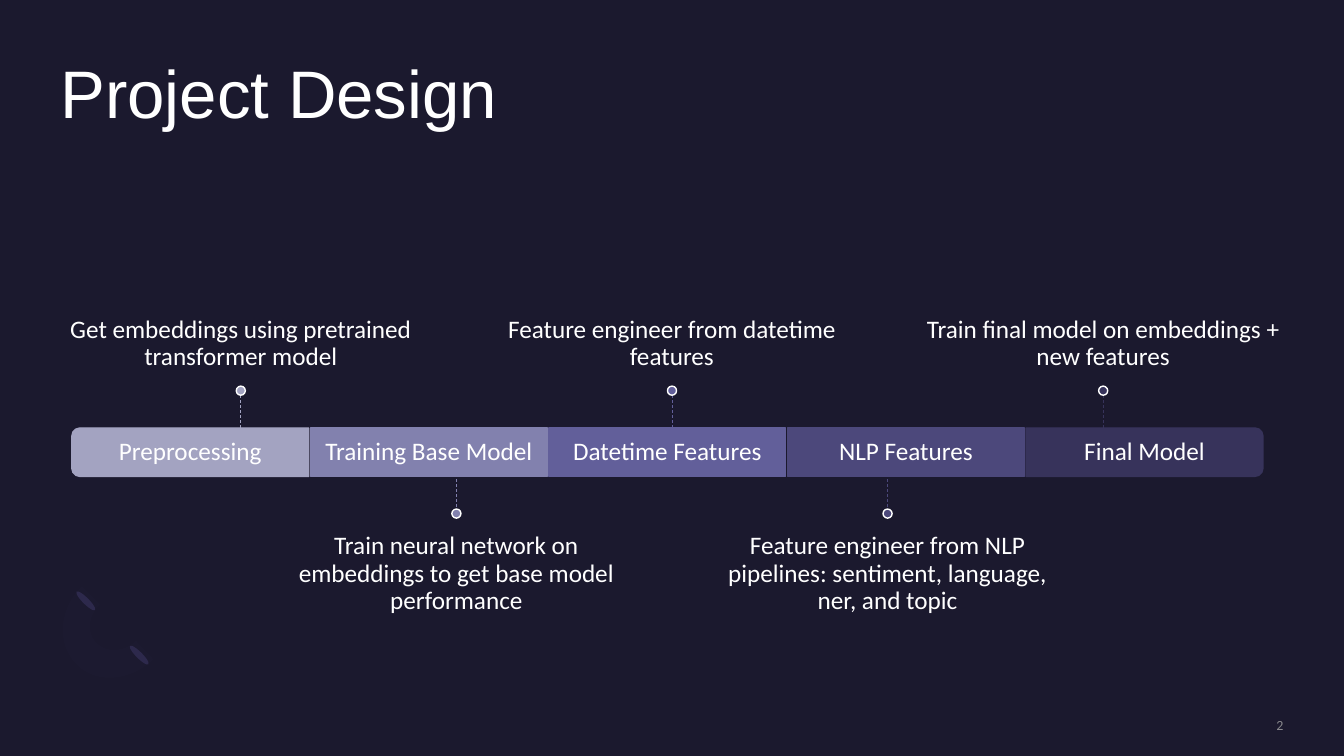
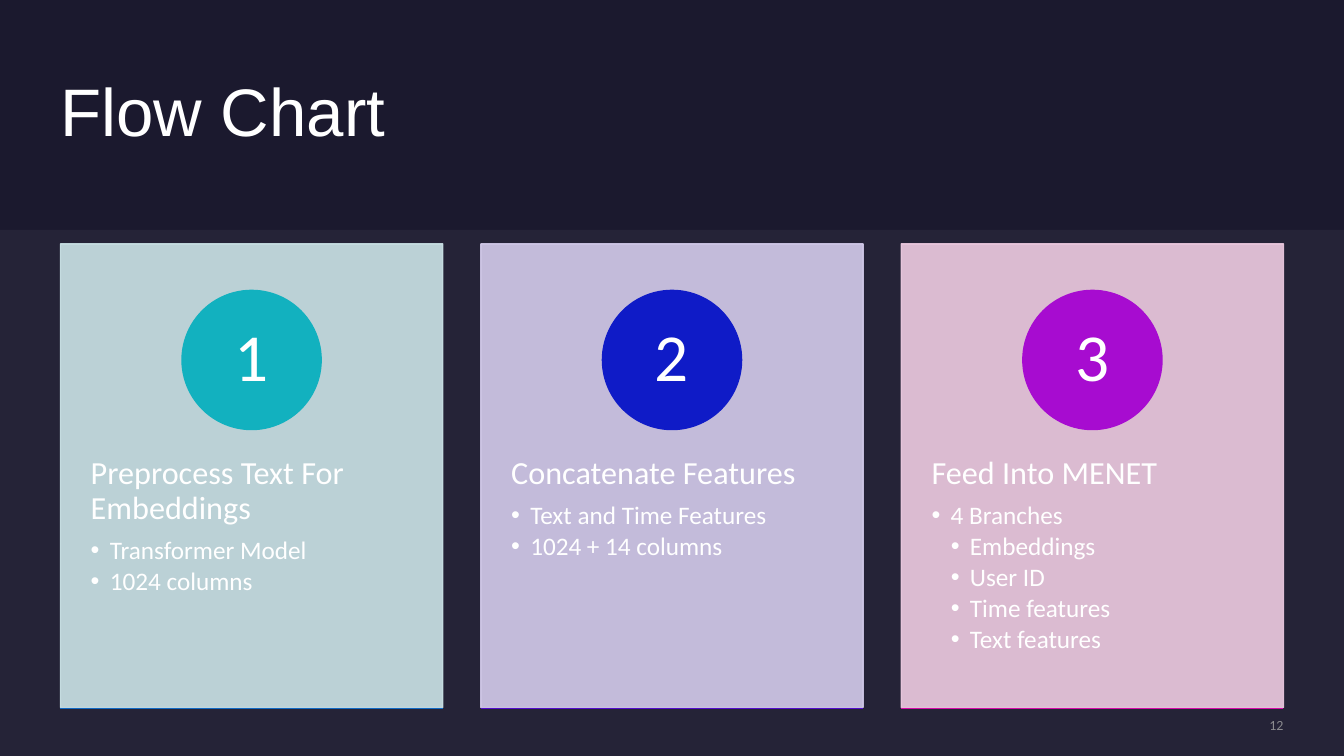
from dataclasses import dataclass

from lxml.etree import SubElement
from pptx import Presentation
from pptx.dml.color import RGBColor
from pptx.enum.dml import MSO_LINE
from pptx.enum.shapes import MSO_CONNECTOR, MSO_SHAPE
from pptx.enum.text import MSO_ANCHOR, MSO_AUTO_SIZE, PP_ALIGN
from pptx.oxml.ns import qn
from pptx.util import Pt

BACKGROUND = "1B192E"
WHITE = "FFFFFF"
GRAY = "A6A6A6"
ACCENT = "2C284A"
ARC = "7771B2"
PANEL = "E4E3F0"
TITLE_FONT = "Arial"
BODY_FONT = "Calibri"

SLIDE_WIDTH, SLIDE_HEIGHT = 960, 540
MARGIN = 43.2
CONTENT_WIDTH = SLIDE_WIDTH - 2 * MARGIN

BAR_LEFT, BAR_TOP, BAR_PITCH = 51.3, 305.7, 170.4
BAR_WIDTH, BAR_HEIGHT = 169.2, 34.6
CALLOUT_LEFT, CALLOUT_PITCH = 172, 154
CALLOUT_WIDTH, CALLOUT_HEIGHT = 257, 109.4
DOT = 6.5

CARD_TOP, CARD_WIDTH, CARD_HEIGHT = 174.2, 273, 331.2
CIRCLE_TOP, CIRCLE = 207.4, 99.4
BULLET_INDENT = 13.7


@dataclass(frozen=True)
class Stage:
    name: str
    detail: str
    color: str
    rotation: int = 0


@dataclass(frozen=True)
class Card:
    heading: str
    bullets: tuple[tuple[int, str], ...]
    fill: str
    circle: str
    rule: str


STAGES = (
    Stage("Preprocessing", "Get embeddings using pretrained transformer model", "A3A3C1", 270),
    Stage("Training Base Model",
          "Train neural network on embeddings to get base model performance", "8281AE"),
    Stage("Datetime Features", "Feature engineer from datetime features", "625F9A"),
    Stage("NLP Features",
          "Feature engineer from NLP pipelines: sentiment, language, ner, and topic", "4C487B"),
    Stage("Final Model", "Train final model on embeddings + new features", "37335B", 90),
)

CARDS = (
    Card("Preprocess Text For Embeddings",
         ((1, "Transformer Model"), (1, "1024 columns")),
         "CCE4E8", "12B1BF", "1068C3"),
    Card("Concatenate Features",
         ((1, "Text and Time Features"), (1, "1024 + 14 columns")),
         "D5CCEC", "0F1BC7", "520DCB"),
    Card("Feed Into MENET",
         ((1, "4 Branches"), (2, "Embeddings"), (2, "User ID"),
          (2, "Time features"), (2, "Text features")),
         "EFCCE2", "A70CD0", "D40AA8"),
)

ARC_START = (54.7, 474.5)
# Each segment is a cubic curve (three points) or a straight edge (one point).
ARC_SEGMENTS = (
    ((40.3, 460.1), (41.8, 435.6), (58.3, 419)),
    ((71.3, 432),),
    ((62.6, 439.9), (61.9, 452.9), (69.1, 459.4)),
    ((76.3, 466.6), (88.6, 465.8), (97.2, 457.9)),
    ((109.4, 470.9),),
    ((93.6, 486.7), (68.4, 488.9), ARC_START),
)


def rgb(color: str) -> RGBColor:
    return RGBColor.from_string(color)


def set_opacity(element, percent: int) -> None:
    """Apply one opacity to every colour inside the element."""
    for color in element.iter(qn("a:srgbClr")):
        SubElement(color, qn("a:alpha")).set("val", str(percent * 1000))


def style_shape(shape, fill: str, line: str | None = None) -> None:
    shape.shadow.inherit = False
    shape.fill.solid()
    shape.fill.fore_color.rgb = rgb(fill)
    if line:
        shape.line.color.rgb = rgb(line)
        shape.line.width = Pt(1)
    else:
        shape.line.fill.background()


def add_shape(page, kind, left: float, top: float, width: float, height: float,
              fill: str, line: str | None = None):
    shape = page.shapes.add_shape(kind, Pt(left), Pt(top), Pt(width), Pt(height))
    style_shape(shape, fill, line)
    return shape


def add_text_box(page, left: float, top: float, width: float, height: float):
    return page.shapes.add_textbox(Pt(left), Pt(top), Pt(width), Pt(height))


def add_line(page, start: tuple[float, float], end: tuple[float, float],
             color: str, width: float):
    line = page.shapes.add_connector(MSO_CONNECTOR.STRAIGHT, *map(Pt, start + end))
    line.line.color.rgb = rgb(color)
    line.line.width = Pt(width)
    SubElement(line._element.spPr, qn("a:effectLst"))
    return line


def set_frame(box, anchor, left: float = 0, top: float = 0,
              right: float = 0, bottom: float = 0) -> None:
    frame = box.text_frame
    frame.word_wrap = True
    frame.auto_size = MSO_AUTO_SIZE.NONE
    frame.vertical_anchor = anchor
    frame.margin_left, frame.margin_top = Pt(left), Pt(top)
    frame.margin_right, frame.margin_bottom = Pt(right), Pt(bottom)


def style_paragraph(para, size: float, align=PP_ALIGN.LEFT, after: float = 0.35,
                    font: str = BODY_FONT, color: str = WHITE) -> None:
    """Format a paragraph; the space after is a share of the text size."""
    para.alignment = align
    para.line_spacing = 0.9
    para.space_before = Pt(0)
    para.space_after = Pt(round(size * after, 2))
    for span in para.runs:
        span.font.name = font
        span.font.size = Pt(size)
        span.font.color.rgb = rgb(color)


def write_centered(box, text: str, size: float) -> None:
    box.text_frame.text = text
    style_paragraph(box.text_frame.paragraphs[0], size, PP_ALIGN.CENTER)


def add_bullet(frame, level: int, text: str) -> None:
    para = frame.add_paragraph()
    para.text = text
    para.level = level
    style_paragraph(para, 18, after=0.15)
    properties = para._p.get_or_add_pPr()
    properties.set("marL", str(Pt(BULLET_INDENT * level)))
    properties.set("indent", str(Pt(-BULLET_INDENT)))
    SubElement(properties, qn("a:buFont")).set("typeface", "Arial")
    SubElement(properties, qn("a:buChar")).set("char", "•")


def add_page(deck, title: str, width: float, height: float, anchor):
    page = deck.slides.add_slide(deck.slide_layouts[5])
    box = page.shapes.title
    box.left, box.top, box.width, box.height = map(Pt, (MARGIN, MARGIN, width, height))
    box.text_frame.text = title
    set_frame(box, anchor)
    style_paragraph(box.text_frame.paragraphs[0], 48, after=0, font=TITLE_FONT)
    return page


def add_page_number(page, number: int) -> None:
    box = add_text_box(page, 783.6, 512.6, 133.2, 12.2)
    set_frame(box, MSO_ANCHOR.MIDDLE)
    box.text_frame.text = str(number)
    para = box.text_frame.paragraphs[0]
    style_paragraph(para, 10, PP_ALIGN.RIGHT, after=0, color=GRAY)
    set_opacity(para.runs[0]._r, 80)


def curve_points(start, first, second, end, steps: int = 12) -> list[tuple[int, int]]:
    points = []
    for step in range(1, steps + 1):
        t = step / steps
        weights = ((1 - t) ** 3, 3 * t * (1 - t) ** 2, 3 * t * t * (1 - t), t ** 3)
        corners = (start, first, second, end)
        x, y = (sum(w * c[axis] for w, c in zip(weights, corners)) for axis in (0, 1))
        points.append((Pt(x), Pt(y)))
    return points


def add_corner_ornament(page) -> None:
    for left, top in ((97.2, 458.6), (59, 419.8)):
        leaf = add_shape(page, MSO_SHAPE.OVAL, left, top, 4.5, 18.7, ACCENT)
        leaf.rotation = 135
    points = []
    current = ARC_START
    for segment in ARC_SEGMENTS:
        if len(segment) == 3:
            points += curve_points(current, *segment)
        else:
            points.append(tuple(map(Pt, segment[0])))
        current = segment[-1]
    builder = page.shapes.build_freeform(*map(Pt, ARC_START))
    builder.add_line_segments(points, close=True)
    arc = builder.convert_to_shape()
    style_shape(arc, ARC)
    set_opacity(arc._element.spPr, 2)


def add_bar(page, index: int, stage: Stage) -> None:
    left = BAR_LEFT + BAR_PITCH * index
    frame = (left, BAR_TOP, BAR_WIDTH, BAR_HEIGHT)
    if stage.rotation:
        shift = (BAR_WIDTH - BAR_HEIGHT) / 2
        bar = add_shape(page, MSO_SHAPE.ROUND_2_SAME_RECTANGLE, left + shift, BAR_TOP - shift,
                        BAR_HEIGHT, BAR_WIDTH, stage.color, stage.color)
        bar.rotation = stage.rotation
        label = add_text_box(page, *frame)
    else:
        label = add_shape(page, MSO_SHAPE.RECTANGLE, *frame, stage.color, stage.color)
    set_frame(label, MSO_ANCHOR.MIDDLE, left=6, right=6)
    write_centered(label, stage.name, 18)


def add_callout(page, index: int, stage: Stage) -> None:
    """Draw the detail text with its dot and stem, above and below the bar in turn."""
    center = CALLOUT_LEFT + CALLOUT_PITCH * index
    above = index % 2 == 0
    text = add_text_box(page, center - CALLOUT_WIDTH / 2, 166.3 if above else 370,
                        CALLOUT_WIDTH, CALLOUT_HEIGHT)
    if above:
        set_frame(text, MSO_ANCHOR.BOTTOM, bottom=10.8)
    else:
        set_frame(text, MSO_ANCHOR.TOP, top=10.8)
    write_centered(text, stage.detail, 18)
    stem_top = 282.2 if above else 338.4
    stem = add_line(page, (center, stem_top), (center, stem_top + 25.2), stage.color, 0.5)
    stem.line.dash_style = MSO_LINE.DASH
    add_shape(page, MSO_SHAPE.OVAL, center - DOT / 2, 275.8 if above else 363.6,
              DOT, DOT, stage.color, WHITE)


def add_card(page, index: int, card: Card) -> None:
    left = MARGIN + index * (CONTENT_WIDTH - CARD_WIDTH) / (len(CARDS) - 1)
    panel = add_shape(page, MSO_SHAPE.RECTANGLE, left, CARD_TOP, CARD_WIDTH, CARD_HEIGHT,
                      card.fill, card.fill)
    set_opacity(panel._element.spPr, 90)
    set_frame(panel, MSO_ANCHOR.TOP, left=21.6, top=152, right=21.6)
    panel.text_frame.text = card.heading
    style_paragraph(panel.text_frame.paragraphs[0], 23)
    for level, text in card.bullets:
        add_bullet(panel.text_frame, level, text)
    circle = add_shape(page, MSO_SHAPE.OVAL, left + (CARD_WIDTH - CIRCLE) / 2, CIRCLE_TOP,
                       CIRCLE, CIRCLE, card.circle, card.circle)
    set_frame(circle, MSO_ANCHOR.MIDDLE)
    write_centered(circle, str(index + 1), 48)
    bottom = CARD_TOP + CARD_HEIGHT + 0.6
    add_line(page, (left, bottom), (left + CARD_WIDTH, bottom), card.rule, 1.25)


def build_project_design(deck) -> None:
    page = add_page(deck, "Project Design", CONTENT_WIDTH, 105, MSO_ANCHOR.TOP)
    add_corner_ornament(page)
    for index, stage in enumerate(STAGES):
        add_bar(page, index, stage)
        add_callout(page, index, stage)
    add_page_number(page, 2)


def build_flow_chart(deck) -> None:
    page = add_page(deck, "Flow Chart", 575, 77.8, MSO_ANCHOR.MIDDLE)
    panel_top = 164.2
    panel = add_shape(page, MSO_SHAPE.RECTANGLE, 0, panel_top, SLIDE_WIDTH,
                      SLIDE_HEIGHT - panel_top, PANEL)
    set_opacity(panel._element.spPr, 5)
    add_page_number(page, 12)
    for index, card in enumerate(CARDS):
        add_card(page, index, card)


def main() -> None:
    deck = Presentation()
    deck.slide_width, deck.slide_height = Pt(SLIDE_WIDTH), Pt(SLIDE_HEIGHT)
    background = deck.slide_master.background.fill
    background.solid()
    background.fore_color.rgb = rgb(BACKGROUND)
    build_project_design(deck)
    build_flow_chart(deck)
    deck.save("out.pptx")


if __name__ == "__main__":
    main()
